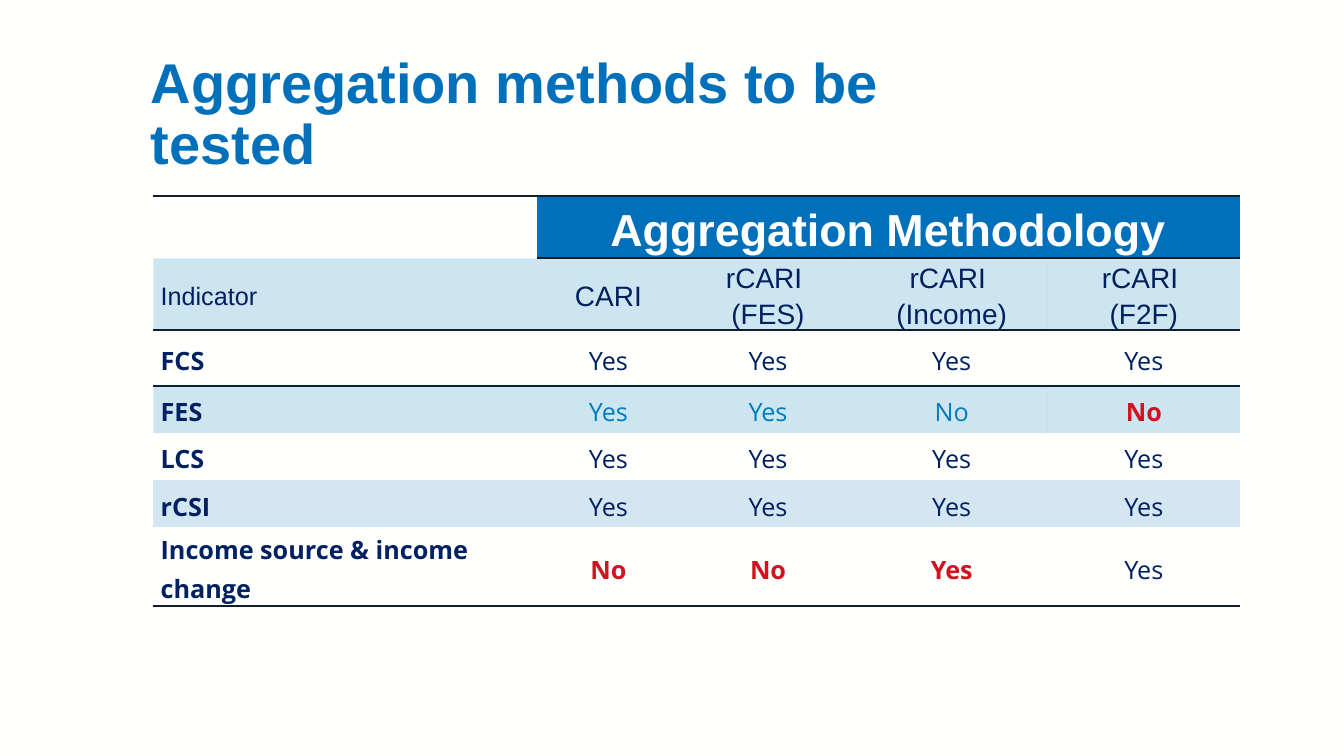
import pptx
import pptx.dml.color
import pptx.enum.text
import pptx.oxml
import pptx.oxml.ns
import pptx.util

PX = 9525
NAVY, BLUE, SKY, RED, RULE = "002060", "0070BA", "007DBC", "D2121F", "0D2030"
ALIGN = pptx.enum.text.PP_ALIGN
MIDDLE = pptx.enum.text.MSO_ANCHOR.MIDDLE


def paint(color_format, hex_color):
    color_format.rgb = pptx.dml.color.RGBColor.from_string(hex_color)


def write(paragraph, words, size, font, color, bold, align, spacing):
    paragraph.alignment = align
    paragraph.line_spacing = spacing
    run = paragraph.add_run()
    run.text = words
    run.font.size = pptx.util.Pt(size)
    run.font.name = font
    run.font.bold = bold
    paint(run.font.color, color)


prs = pptx.Presentation()
prs.slide_width, prs.slide_height = 1280 * PX, 720 * PX
slide = prs.slides.add_slide(prs.slide_layouts[5])
slide.background.fill.solid()
paint(slide.background.fill.fore_color, "FFFFFE")

title = slide.shapes.title
title.left, title.top, title.width, title.height = 134 * PX, 63 * PX, 856 * PX, 95 * PX
title.text_frame.word_wrap = True
title.text_frame.auto_size = pptx.enum.text.MSO_AUTO_SIZE.NONE
title.text_frame.vertical_anchor = MIDDLE
write(title.text_frame.paragraphs[0], "Aggregation methods to be tested", 40, "Arial", BLUE, True, ALIGN.LEFT, 0.9)

rows = [
    ["", "Aggregation Methodology", "", "", ""],
    ["Indicator", "CARI", "rCARI \n(FES)", "rCARI \n(Income)", "rCARI \n(F2F)"],
    ["FCS", "Yes", "Yes", "Yes", "Yes"],
    ["FES", "Yes", "Yes", "No", "No"],
    ["LCS", "Yes", "Yes", "Yes", "Yes"],
    ["rCSI", "Yes", "Yes", "Yes", "Yes"],
    ["Income source & income change", "No", "No", "Yes", "Yes"],
]
column_widths = [365, 137, 167, 183, 183]
row_heights = [59, 53, 53, 45, 45, 45, 45]
row_fills = {0: BLUE, 1: SKY, 3: SKY, 5: "D4E6F2"}
changed_answers = {(3, 4), (6, 1), (6, 2), (6, 3)}
ruled_edges = {0: ["T", "B"], 1: ["T", "B"], 2: ["T"], 6: ["B"]}

frame = slide.shapes.add_table(7, 5, 146 * PX, 187 * PX, 1035 * PX, 382 * PX)
methods = frame.table
methods.first_row = methods.horz_banding = False
style_id = methods._tbl.tblPr.find(pptx.oxml.ns.qn("a:tableStyleId"))
style_id.text = "{2D5ABB26-0587-4C30-8999-92F81FD0307C}"
for column, width in zip(methods.columns, column_widths):
    column.width = width * PX
for row, height in zip(methods.rows, row_heights):
    row.height = height * PX
methods.cell(0, 1).merge(methods.cell(0, 4))

for r, row in enumerate(rows):
    for c, words in enumerate(row):
        cell = methods.cell(r, c)
        cell.vertical_anchor = MIDDLE
        cell.margin_left = cell.margin_right = 7 * PX
        cell.margin_top = cell.margin_bottom = 0

        if r in row_fills and (r, c) != (0, 0):
            cell.fill.solid()
            paint(cell.fill.fore_color, row_fills[r])
            if row_fills[r] == SKY:
                tint = cell._tc.tcPr.find(".//" + pptx.oxml.ns.qn("a:srgbClr"))
                tint.append(pptx.oxml.parse_xml(f'<a:alpha {pptx.oxml.ns.nsdecls("a")} val="20000"/>'))
        else:
            cell.fill.background()

        for edge in reversed(ruled_edges.get(r, [])):
            if c == 0 and (r, edge) in {(0, "B"), (1, "T")}:
                continue
            cell._tc.tcPr.insert(0, pptx.oxml.parse_xml(
                f'<a:ln{edge} {pptx.oxml.ns.nsdecls("a")} w="19050"><a:solidFill>'
                f'<a:srgbClr val="{RULE}"/></a:solidFill></a:ln{edge}>'))

        if not words:
            continue
        font, size, color, bold = "Open Sans", 18, NAVY, c == 0
        if r == 0:
            font, size, color, bold = "Arial", 32, "FFFFFF", True
        elif r == 1:
            font, size, bold = "Arial", 18 if c == 0 else 20, False
        elif (r, c) in changed_answers:
            color, bold = RED, True
        elif r == 3 and c > 0:
            color = SKY
        for i, line in enumerate(words.split("\n")):
            paragraph = cell.text_frame.add_paragraph() if i else cell.text_frame.paragraphs[0]
            write(paragraph, line, size, font, color, bold, ALIGN.CENTER if c else ALIGN.LEFT, 1.15)

prs.save("out.pptx")
